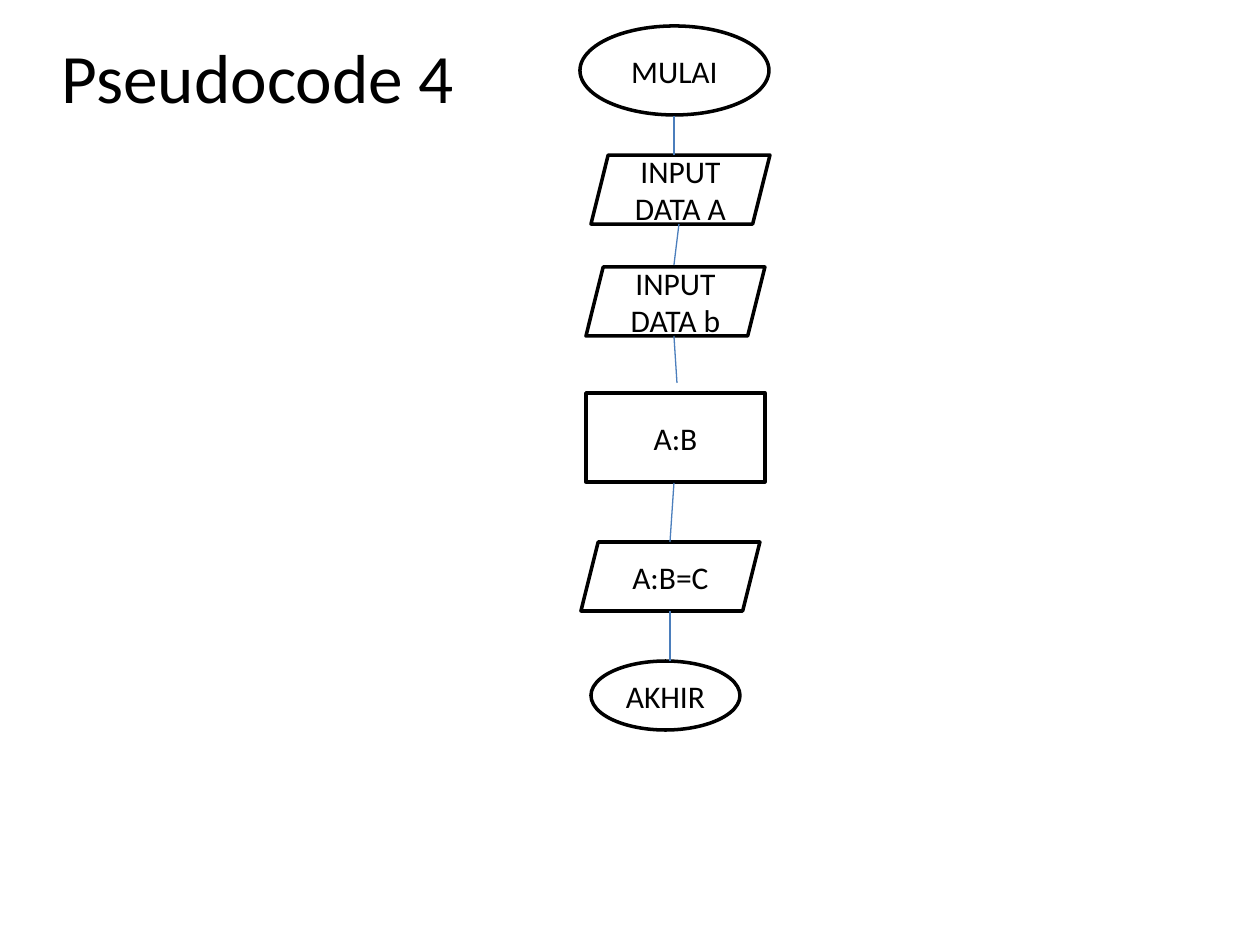
from pptx import Presentation
from pptx import util as u
from pptx.dml.color import RGBColor
from pptx.enum import shapes, text
from pptx.oxml.ns import qn
from lxml import etree

BLACK = RGBColor(0x00, 0x00, 0x00)
WHITE = RGBColor(0xFF, 0xFF, 0xFF)
BLUE = RGBColor(0x4B, 0x7E, 0xBC)
SCALE = 914400 / 126


def px(n):
    return round(n * SCALE)


class Flowchart:
    font = "Calibri"

    def __init__(self, slide):
        self.s = slide

    def label(self, sp, words, size):
        tf = sp.text_frame
        tf.text = words
        tf.word_wrap = True
        tf.auto_size = text.MSO_AUTO_SIZE.NONE
        tf.vertical_anchor = text.MSO_ANCHOR.MIDDLE
        p = tf.paragraphs[0]
        p.alignment = text.PP_ALIGN.CENTER
        r = p.runs[0]
        r.font.name = self.font
        r.font.size = u.Pt(size)
        r.font.color.rgb = BLACK

    def title(self, words, x, y, w, h):
        sp = self.s.shapes.title
        sp.left, sp.top, sp.width, sp.height = map(px, (x, y, w, h))
        self.label(sp, words, 39.6)

    def node(self, kind, words, x, y, w, h):
        sp = self.s.shapes.add_shape(kind, px(x), px(y), px(w), px(h))
        sp.shadow.inherit = False
        sp.fill.solid()
        sp.fill.fore_color.rgb = WHITE
        sp.line.color.rgb = BLACK
        sp.line.width = u.Pt(2)
        self.label(sp, words, 18)

    def link(self, x1, y1, x2, y2):
        c = self.s.shapes.add_connector(
            shapes.MSO_CONNECTOR.STRAIGHT, px(x1), px(y1), px(x2), px(y2))
        c.line.color.rgb = BLUE
        c.line.width = u.Pt(0.75)
        etree.SubElement(c._element.spPr, qn("a:effectLst"))


OVAL = shapes.MSO_SHAPE.OVAL
DATA = shapes.MSO_SHAPE.PARALLELOGRAM
PROCESS = shapes.MSO_SHAPE.RECTANGLE

NODES = [
    (OVAL, "MULAI", 580, 26, 189, 89),
    (DATA, "INPUT DATA A", 591, 155, 179, 69),
    (DATA, "INPUT DATA b", 586, 267, 179, 69),
    (PROCESS, "A:B", 586, 393, 179, 89),
    (DATA, "A:B=C", 581, 542, 179, 69),
    (OVAL, "AKHIR", 591, 661, 149, 69),
]
LINKS = [
    (674, 116, 674, 155),
    (679, 224, 674, 265),
    (674, 336, 677, 383),
    (674, 483, 670, 542),
    (670, 611, 670, 661),
]

prs = Presentation()
prs.slide_width, prs.slide_height = u.Inches(10), u.Inches(7.5)
chart = Flowchart(prs.slides.add_slide(prs.slide_layouts[5]))
chart.title("Pseudocode 4", 35, 16, 446, 120)
for node in NODES:
    chart.node(*node)
for link in LINKS:
    chart.link(*link)
prs.save("out.pptx")
